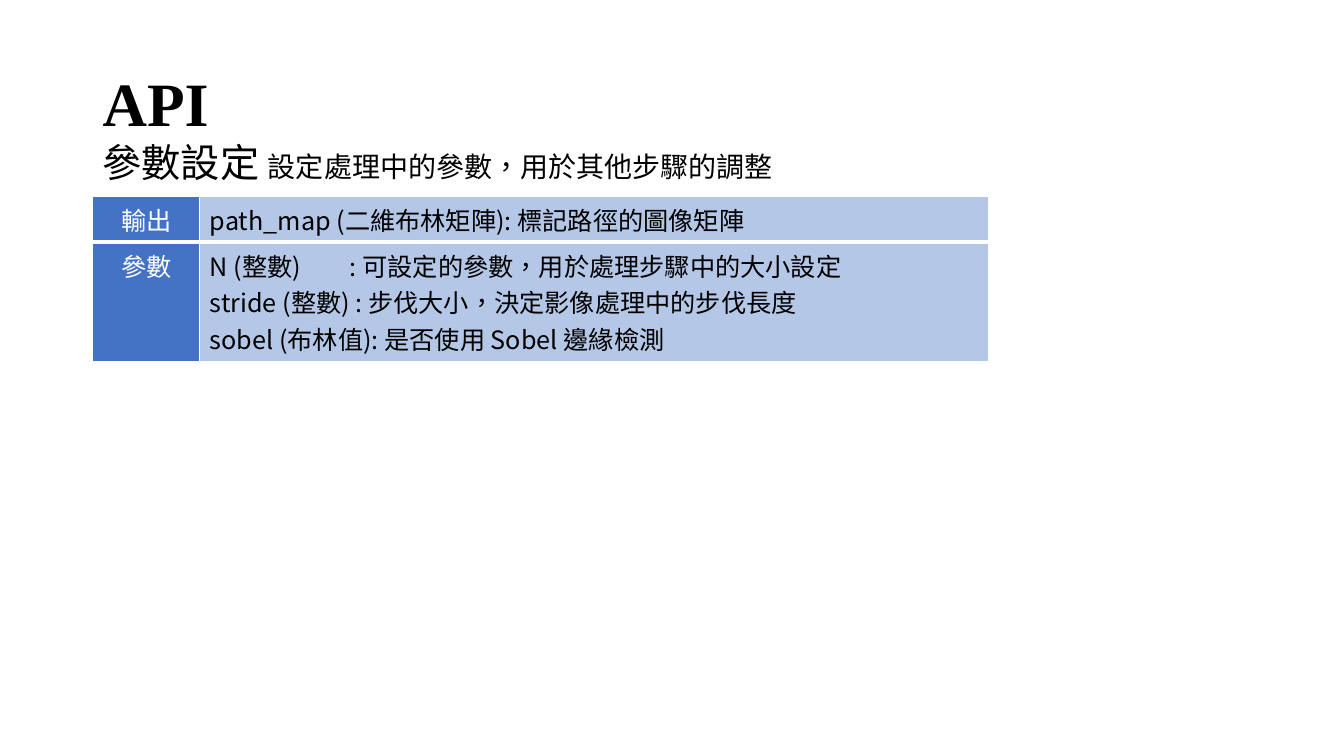
from dataclasses import dataclass

from lxml import etree
from pptx import Presentation
from pptx import util as u
from pptx.dml import color
from pptx.enum import text
from pptx.oxml import ns

COLORS = {"black": "000000", "white": "FFFFFF", "label": "4472C4", "detail": "B4C7E7"}
SANS = "Noto Sans CJK SC"
SERIF = "Times New Roman"
LANGUAGE = "zh-TW"
LEFT = 66.25
COLON_TAB = 100


@dataclass
class Phrase:
    words: str
    size: float
    font: str
    bold: bool = False


@dataclass
class Heading:
    top: float
    height: float
    anchor: text.MSO_ANCHOR
    space_before: float
    phrases: list[Phrase]


@dataclass
class Entry:
    label: str
    details: list[str]
    height: float
    top_border: float
    bottom_border: float


HEADINGS = [
    Heading(24, 104.4, text.MSO_ANCHOR.MIDDLE, 0, [Phrase("API", 44, SERIF, True)]),
    Heading(99, 342.7, text.MSO_ANCHOR.TOP, 10, [
        Phrase("參數設定 ", 28, SANS),
        Phrase("設定處理中的參數，用於其他步驟的調整", 20, SANS),
    ]),
]
ENTRIES = [
    Entry("輸出", ["path_map (二維布林矩陣): 標記路徑的圖像矩陣"], 33, 1, 3),
    Entry("參數", [
        "N (整數)\t: 可設定的參數，用於處理步驟中的大小設定",
        "stride (整數) : 步伐大小，決定影像處理中的步伐長度",
        "sobel (布林值): 是否使用 Sobel 邊緣檢測",
    ], 85, 3, 1),
]


def style_run(run, size: float, font: str, ink: str, bold: bool = False) -> None:
    run.font.size = u.Pt(size)
    run.font.name = font
    run.font.bold = bold
    run.font.color.rgb = color.RGBColor.from_string(COLORS[ink])
    properties = run.font._element
    properties.set("lang", LANGUAGE)
    etree.SubElement(properties, ns.qn("a:ea"), typeface=font)


def add_heading(slide, heading: Heading) -> None:
    box = slide.shapes.add_textbox(
        u.Pt(LEFT), u.Pt(heading.top), u.Pt(828), u.Pt(heading.height))
    frame = box.text_frame
    frame.word_wrap = True
    frame.vertical_anchor = heading.anchor
    line = frame.paragraphs[0]
    line.line_spacing = 0.9
    line.space_before = u.Pt(heading.space_before)
    for phrase in heading.phrases:
        run = line.add_run()
        run.text = phrase.words
        style_run(run, phrase.size, phrase.font, "black", phrase.bold)


def set_borders(cell, entry: Entry) -> None:
    widths = {"lnL": 1, "lnR": 1, "lnT": entry.top_border, "lnB": entry.bottom_border}
    properties = cell._tc.get_or_add_tcPr()
    for position, (side, width) in enumerate(widths.items()):
        border = etree.Element(ns.qn(f"a:{side}"), w=str(u.Pt(width)))
        fill = etree.SubElement(border, ns.qn("a:solidFill"))
        etree.SubElement(fill, ns.qn("a:srgbClr"), val=COLORS["white"])
        properties.insert(position, border)


def set_tab(line, position: float) -> None:
    stops = etree.SubElement(line._p.get_or_add_pPr(), ns.qn("a:tabLst"))
    etree.SubElement(stops, ns.qn("a:tab"), pos=str(u.Pt(position)), algn="l")


def fill_cell(cell, entry: Entry, lines: list[str], background: str, ink: str,
              alignment: text.PP_ALIGN) -> None:
    cell.fill.solid()
    cell.fill.fore_color.rgb = color.RGBColor.from_string(COLORS[background])
    set_borders(cell, entry)
    cell.text_frame.text = "\n".join(lines)
    for line in cell.text_frame.paragraphs:
        line.alignment = alignment
        if "\t" in line.text:
            set_tab(line, COLON_TAB)
        for run in line.runs:
            style_run(run, 18, SANS, ink)


def add_parameters(slide, entries: list[Entry]) -> None:
    widths = [76.5, 563.25]
    frame = slide.shapes.add_table(
        len(entries), len(widths), u.Pt(LEFT), u.Pt(140),
        u.Pt(sum(widths)), u.Pt(sum(entry.height for entry in entries)))
    parameters = frame.table
    for column, width in zip(parameters.columns, widths):
        column.width = u.Pt(width)
    for row, entry in zip(parameters.rows, entries):
        row.height = u.Pt(entry.height)
        label, detail = row.cells
        fill_cell(label, entry, [entry.label], "label", "white", text.PP_ALIGN.CENTER)
        fill_cell(detail, entry, entry.details, "detail", "black", text.PP_ALIGN.LEFT)


def main() -> None:
    deck = Presentation()
    deck.slide_width, deck.slide_height = u.Pt(960), u.Pt(540)
    slide = deck.slides.add_slide(deck.slide_layouts[6])
    for heading in HEADINGS:
        add_heading(slide, heading)
    add_parameters(slide, ENTRIES)
    deck.save("out.pptx")


if __name__ == "__main__":
    main()
